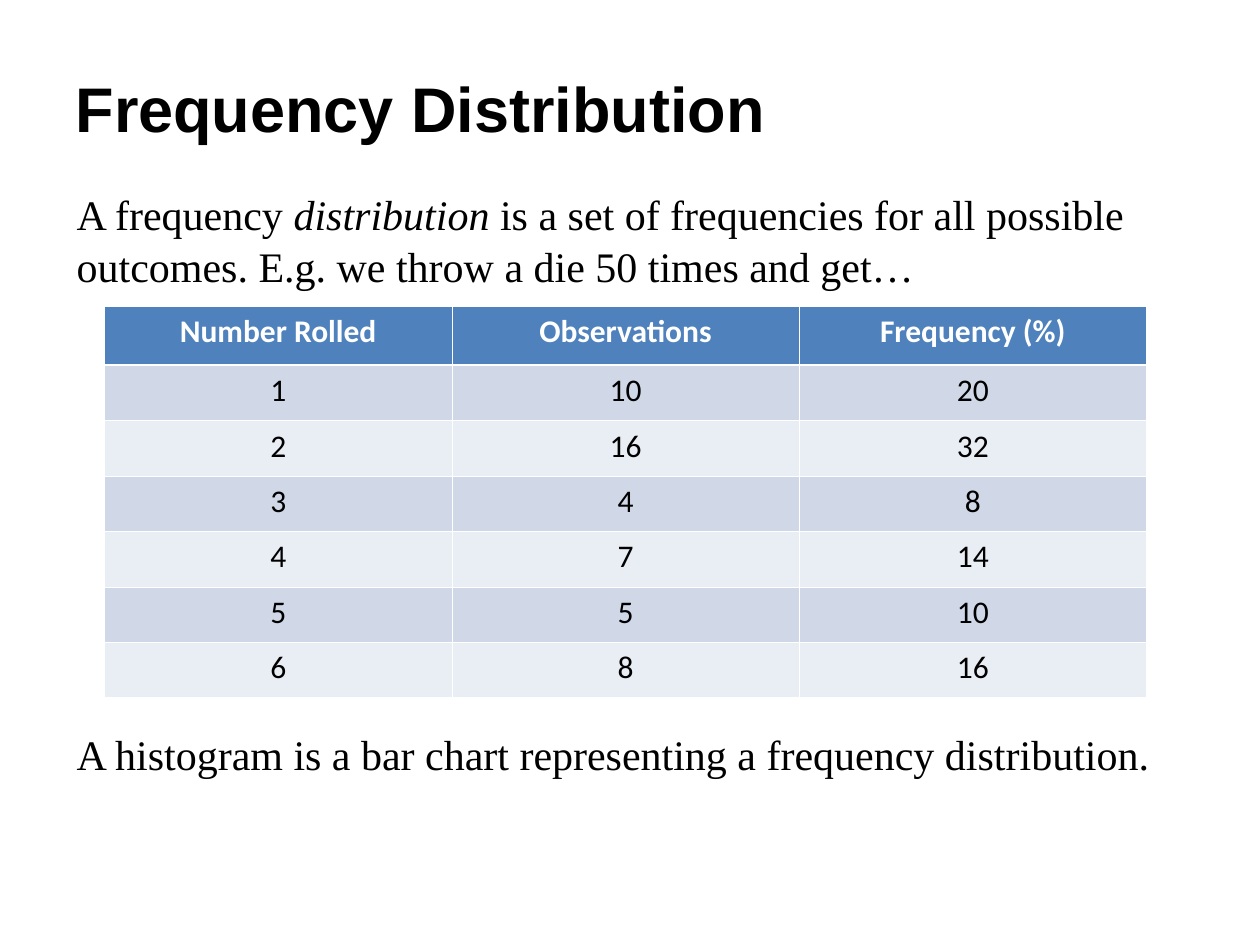
import pptx
import pptx.dml.color
import pptx.enum.text
import pptx.oxml
import pptx.oxml.ns
import pptx.util
from pptx.util import Inches

THEME = {
    "text": "000000", "inverse": "FFFFFF", "header": "4F81BD",
    "bands": ("D0D8E8", "E9EDF4"), "border": "FFFFFF",
    "title_size": 36, "body_size": 24, "table_size": 18,
    "title_font": "Arial", "body_font": "Times New Roman", "table_font": "Calibri",
}
ALIGN = pptx.enum.text.PP_ALIGN
ANCHOR = pptx.enum.text.MSO_ANCHOR


def add_text(p, text, font, size, color=THEME["text"], bold=False, italic=False, align=ALIGN.LEFT):
    p.alignment = align
    r = p.add_run()
    r.text = text
    r.font.name = font
    r.font.size = pptx.util.Pt(size)
    r.font.bold = bold
    r.font.italic = italic
    r.font.color.rgb = pptx.dml.color.RGBColor.from_string(color)


def add_border(cell, side, width):
    cell._tc.get_or_add_tcPr().append(pptx.oxml.parse_xml(
        f'<a:{side} {pptx.oxml.ns.nsdecls("a")} w="{pptx.util.Pt(width)}"><a:solidFill>'
        f'<a:srgbClr val="{THEME["border"]}"/></a:solidFill></a:{side}>'))


prs = pptx.Presentation()
prs.slide_width, prs.slide_height = Inches(10), Inches(7.5)
s = prs.slides.add_slide(prs.slide_layouts[5])

# Title
sp = s.shapes.title
sp.left, sp.top, sp.width, sp.height = Inches(0.5), Inches(0.31), Inches(9), Inches(1.09)
tf = sp.text_frame
tf.vertical_anchor = ANCHOR.MIDDLE
add_text(tf.paragraphs[0], "Frequency Distribution", THEME["title_font"],
         THEME["title_size"], bold=True)

# Body: the space before the second paragraph leaves room for the table
tf = s.shapes.add_textbox(Inches(0.51), Inches(1.4), Inches(8.99), Inches(5.1)).text_frame
tf.word_wrap = True
tf.margin_top = Inches(0.08)
body = [
    [("A frequency ", False), ("distribution", True),
     (" is a set of frequencies for all possible outcomes. "
      "E.g. we throw a die 50 times and get…", False)],
    [("A histogram is a bar chart representing a frequency distribution.", False)],
]
for i, runs in enumerate(body):
    p = tf.add_paragraph() if i else tf.paragraphs[0]
    p.line_spacing = 1.04
    p.space_before = pptx.util.Pt(249 if i else 0)
    for text, italic in runs:
        add_text(p, text, THEME["body_font"], THEME["body_size"], italic=italic)

# Frequency table
rows = [
    ("Number Rolled", "Observations", "Frequency (%)"),
    (1, 10, 20),
    (2, 16, 32),
    (3, 4, 8),
    (4, 7, 14),
    (5, 5, 10),
    (6, 8, 16),
]
table = s.shapes.add_table(len(rows), 3, Inches(0.83), Inches(2.43),
                           Inches(8.27), Inches(3.1)).table
for i, values in enumerate(rows):
    header = i == 0
    table.rows[i].height = Inches(0.47 if header else 0.44)
    for j, value in enumerate(values):
        cell = table.cell(i, j)
        cell.vertical_anchor = ANCHOR.TOP
        for side in ("lnL", "lnR", "lnT", "lnB"):
            thick = (i, side) in ((0, "lnB"), (1, "lnT"))
            add_border(cell, side, 1.47 if thick else 0.45)
        cell.fill.solid()
        cell.fill.fore_color.rgb = pptx.dml.color.RGBColor.from_string(
            THEME["header"] if header else THEME["bands"][(i - 1) % 2])
        add_text(cell.text_frame.paragraphs[0], str(value), THEME["table_font"],
                 THEME["table_size"], color=THEME["inverse" if header else "text"],
                 bold=header, align=ALIGN.CENTER)

prs.save("out.pptx")
